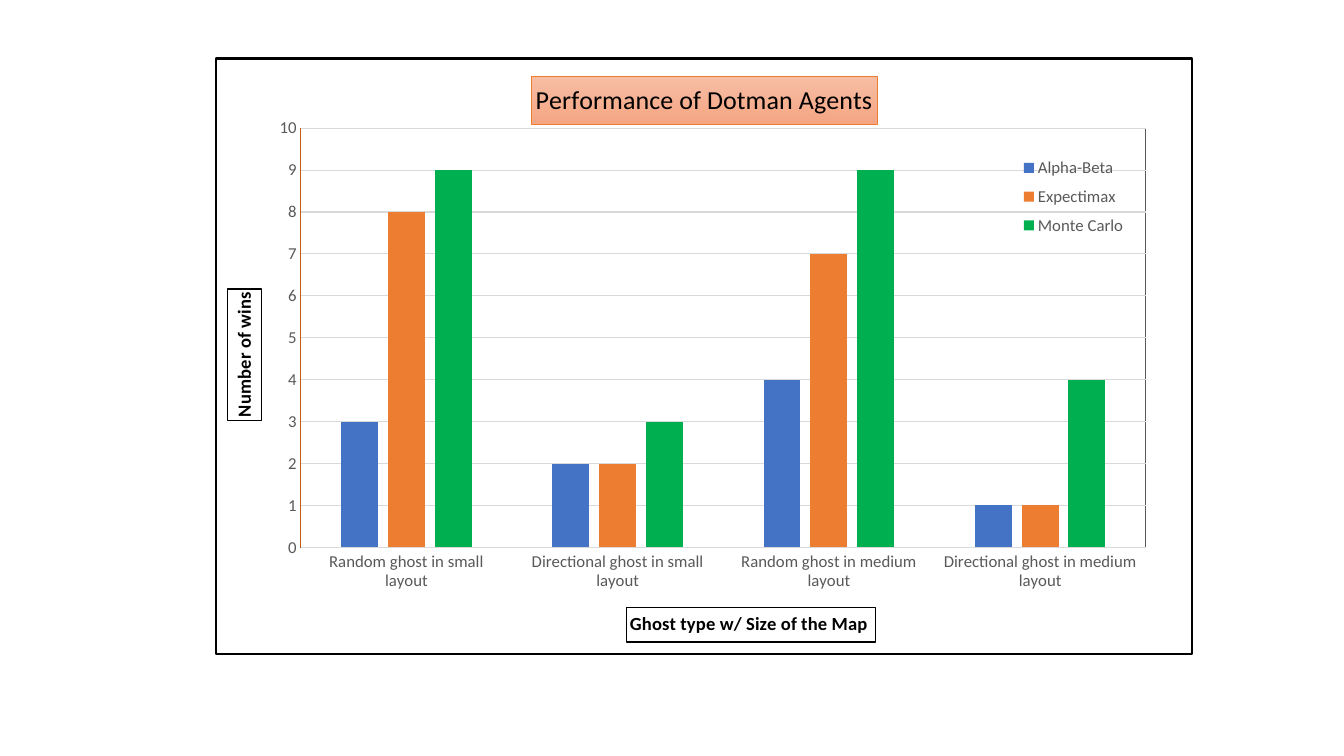
from lxml.etree import SubElement
from pptx import Presentation
from pptx.chart.data import CategoryChartData
from pptx.dml.color import RGBColor
from pptx.enum.chart import XL_CHART_TYPE as ChartType
from pptx.enum.chart import XL_LEGEND_POSITION as LegendPos
from pptx.enum.chart import XL_TICK_MARK as TickMark
from pptx.oxml import parse_xml
from pptx.oxml.ns import nsdecls, qn
from pptx.util import Inches, Pt

FONT = "Calibri"
BLACK = RGBColor(0x00, 0x00, 0x00)
WHITE = RGBColor(0xFF, 0xFF, 0xFF)
GRAY_TEXT = RGBColor(0x59, 0x59, 0x59)
GRID = RGBColor(0xD9, 0xD9, 0xD9)
RUST = RGBColor(0xC5, 0x5A, 0x11)
TITLE_TOP = RGBColor(0xF7, 0xBD, 0xA4)
TITLE_BOTTOM = RGBColor(0xF5, 0xA5, 0x83)
BLUE = RGBColor(0x44, 0x72, 0xC4)
ORANGE = RGBColor(0xED, 0x7D, 0x31)
GREEN = RGBColor(0x00, 0xB0, 0x50)

CATEGORIES = [
    "Random ghost in small layout",
    "Directional ghost in small layout",
    "Random ghost in medium layout",
    "Directional ghost in medium layout",
]
AGENTS = [
    ("Alpha-Beta", (3, 2, 4, 1), BLUE),
    ("Expectimax", (8, 2, 7, 1), ORANGE),
    ("Monte Carlo", (9, 3, 9, 4), GREEN),
]


def set_font(font, size, color, bold=False):
    font.name, font.size, font.bold = FONT, Pt(size), bold
    font.color.rgb = color


def set_line(line, color, width=0.75):
    line.color.rgb = color
    line.width = Pt(width)


def place(element, x, y, w=None, h=None, inner=False):
    """Give a chart part a manual layout in fractions of the chart."""
    for old in element.findall(qn("c:layout")):
        element.remove(old)
    layout = parse_xml(f"<c:layout {nsdecls('c')}><c:manualLayout/></c:layout>")
    values = [("layoutTarget", "inner")] if inner else []
    values += [("xMode", "edge"), ("yMode", "edge"), ("x", x), ("y", y)]
    if w is not None:
        values += [("w", w), ("h", h)]
    for tag, value in values:
        SubElement(layout[0], qn(f"c:{tag}")).set("val", str(value))
    before = [e for e in element if e.tag in (qn("c:tx"), qn("c:legendPos"))]
    element.insert(len(before), layout)


def outline(color, width, fill=None):
    """Shape properties for the chart frame and the plot area."""
    paint = "<a:noFill/>" if fill is None else (
        f'<a:solidFill><a:srgbClr val="{fill}"/></a:solidFill>')
    return parse_xml(
        f"<c:spPr {nsdecls('c', 'a')}>{paint}"
        f'<a:ln w="{Pt(width)}"><a:solidFill><a:srgbClr val="{color}"/>'
        "</a:solidFill></a:ln></c:spPr>")


def write_title(title, text, size, x, y, bold=False):
    tf = title.text_frame
    r = tf.paragraphs[0].add_run()
    r.text = text
    set_font(r.font, size, BLACK, bold)
    place(title._element, x, y)
    return tf


def format_axis(axis, line_color):
    axis.major_tick_mark = axis.minor_tick_mark = TickMark.NONE
    set_font(axis.tick_labels.font, 12, GRAY_TEXT)
    set_line(axis.format.line, line_color)


def add_axes(chart):
    cat, val = chart.category_axis, chart.value_axis
    format_axis(cat, GRID)
    format_axis(val, RUST)
    val.minimum_scale, val.maximum_scale, val.major_unit = 0, 10, 1
    val.has_major_gridlines = True
    set_line(val.major_gridlines.format.line, GRID)

    # Boxed axis titles
    write_title(cat.axis_title, "Ghost type w/ Size of the Map ", 13.3,
                0.421, 0.922, bold=True)
    tf = write_title(val.axis_title, "Number of wins", 13.3,
                     0.012, 0.387, bold=True)
    body = tf._txBody.find(qn("a:bodyPr"))
    body.set("rot", "-5400000")
    body.set("vert", "horz")
    for axis in (cat, val):
        set_line(axis.axis_title.format.line, BLACK, 1)


def add_chart_title(chart):
    chart.has_title = True
    title = chart.chart_title
    write_title(title, "Performance of Dotman Agents", 18.6, 0.323, 0.03)
    fill = title.format.fill
    fill.gradient()
    fill.gradient_angle = 270
    for stop, color in zip(fill.gradient_stops, (TITLE_TOP, TITLE_BOTTOM)):
        stop.color.rgb = color
    set_line(title.format.line, ORANGE, 0.5)


def add_legend(chart):
    chart.has_legend = True
    legend = chart.legend
    legend.position = LegendPos.RIGHT
    legend.include_in_layout = False
    set_font(legend.font, 12, GRAY_TEXT)
    place(legend._element, 0.819, 0.152, 0.12, 0.16)


def add_wins_chart(slide, left, top, width, height):
    data = CategoryChartData()
    data.categories = CATEGORIES
    for name, wins, _ in AGENTS:
        data.add_series(name, wins)
    chart = slide.shapes.add_chart(
        ChartType.COLUMN_CLUSTERED, left, top, width, height, data).chart
    set_font(chart.font, 10, BLACK)

    # Columns
    plot = chart.plots[0]
    plot.gap_width, plot.overlap, plot.vary_by_categories = 219, -27, False
    for series, (_, _, color) in zip(plot.series, AGENTS):
        series.format.fill.solid()
        series.format.fill.fore_color.rgb = color

    add_chart_title(chart)
    add_axes(chart)
    add_legend(chart)

    # Plot area and chart frame
    chart_part = chart._chartSpace.find(qn("c:chart"))
    plot_area = chart_part.find(qn("c:plotArea"))
    place(plot_area, 0.087, 0.117, 0.866, 0.704, inner=True)
    plot_area.append(outline(GRAY_TEXT, 0.75))
    chart_part.addnext(outline(BLACK, 1.5, WHITE))


def main():
    prs = Presentation()
    prs.slide_width, prs.slide_height = Inches(13.33), Inches(7.5)
    slide = prs.slides.add_slide(prs.slide_layouts[6])
    add_wins_chart(slide, Inches(2.13), Inches(0.57), Inches(9.7), Inches(5.93))
    prs.save("out.pptx")


if __name__ == "__main__":
    main()
